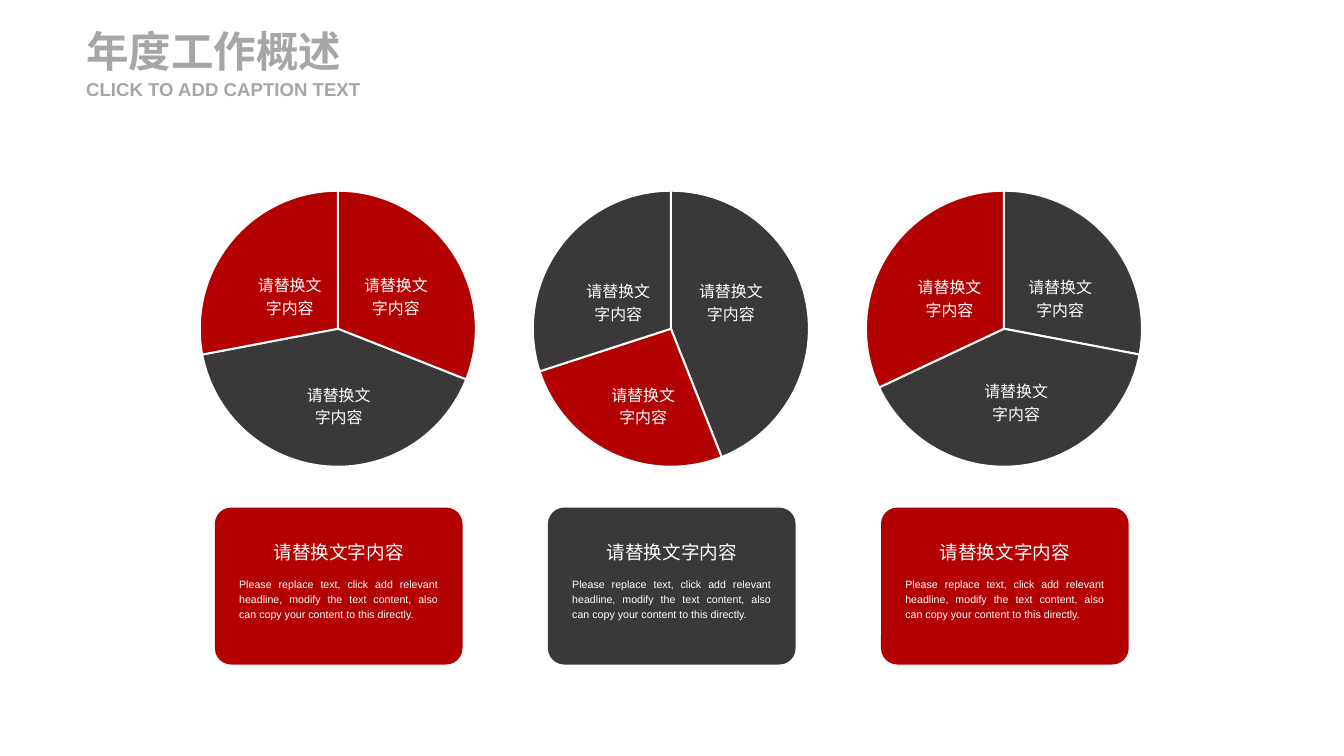
"""Build the annual work overview slide: three pies, each above a caption card."""
from lxml.etree import SubElement
from pptx import Presentation
from pptx.chart.data import CategoryChartData
from pptx.dml.color import RGBColor
from pptx.enum.chart import XL_CHART_TYPE
from pptx.enum.shapes import MSO_SHAPE
from pptx.enum.text import MSO_ANCHOR, MSO_AUTO_SIZE, PP_ALIGN
from pptx.oxml.ns import qn
from pptx.util import Cm, Pt

COLORS = {"red": "B30000", "dark": "3A3838", "grey": "A6A6A6",
          "white": "FFFFFF", "black": "000000"}
FONT = "Arial"
LABEL = "请替换文字内容"
BODY = ("Please replace text, click add relevant headline, modify the text content, "
        "also can copy your content to this directly.")


def rgb(name):
    return RGBColor.from_string(COLORS[name])


def add_text(slide, text, left, top, width, height, size, align=PP_ALIGN.CENTER,
             color="white", heading=False, wrap=True):
    box = slide.shapes.add_textbox(Cm(left), Cm(top), Cm(width), Cm(height))
    frame = box.text_frame
    frame.word_wrap = wrap
    frame.auto_size = MSO_AUTO_SIZE.SHAPE_TO_FIT_TEXT
    paragraph = frame.paragraphs[0]
    paragraph.alignment = align
    if heading:
        frame.vertical_anchor = MSO_ANCHOR.MIDDLE
        frame.margin_left = frame.margin_right = 0
        frame.margin_top = frame.margin_bottom = 0
    else:
        paragraph.line_spacing = 1.2
    run = paragraph.add_run()
    run.text = text
    run.font.name = FONT
    run.font.size = Pt(size)
    run.font.bold = heading
    run.font.color.rgb = rgb(color)


prs = Presentation()
prs.slide_width, prs.slide_height = Cm(35.71), Cm(20.09)
slide = prs.slides.add_slide(prs.slide_layouts[6])

FIRST_CENTER, PITCH = 9.0, 8.85
PIE_WIDTH, PIE_HEIGHT, PIE_TOP = 9.37, 8.1, 4.72
LABEL_WIDTH, CARD_WIDTH, BODY_WIDTH, TITLE_WIDTH = 2.44, 6.58, 5.79, 4.01
PLOT_LAYOUT = {"layoutTarget": "inner", "xMode": "edge", "yMode": "edge",
               "x": "0.106", "y": "0.043", "w": "0.783", "h": "0.906"}

# Each column: shares, slice colours, label (offset from centre, top), card colour
columns = [
    ((31, 41, 28), ("red", "dark", "red"),
     ((-1.3, 7.11), (1.52, 7.11), (0, 10.01)), "red"),
    ((44, 26, 30), ("dark", "red", "dark"),
     ((1.57, 7.26), (-1.42, 7.26), (-0.76, 10.01)), "dark"),
    ((28, 40, 32), ("dark", "dark", "red"),
     ((-1.47, 7.16), (1.47, 7.16), (0.3, 9.91)), "red"),
]

for index, (shares, slice_colors, labels, card_color) in enumerate(columns):
    center = FIRST_CENTER + index * PITCH

    data = CategoryChartData()
    data.categories = ["1", "2", "3", "4"]
    data.add_series("Series 1", (*shares, None))
    pie = slide.shapes.add_chart(
        XL_CHART_TYPE.PIE, Cm(center - PIE_WIDTH / 2), Cm(PIE_TOP),
        Cm(PIE_WIDTH), Cm(PIE_HEIGHT), data).chart
    pie.has_legend = False
    pie.has_title = False
    pie.font.name = FONT
    pie.font.size = Pt(10)
    pie.font.color.rgb = rgb("black")
    pie.plots[0].vary_by_categories = True
    for number, color in enumerate((*slice_colors, "dark")):
        slice_format = pie.plots[0].series[0].points[number].format
        slice_format.fill.solid()
        slice_format.fill.fore_color.rgb = rgb(color)
        slice_format.line.color.rgb = rgb("white")
        slice_format.line.width = Pt(1.5)

    plot_area = pie.plots[0]._element.getparent()
    for old_layout in plot_area.findall(qn("c:layout")):
        plot_area.remove(old_layout)
    layout = SubElement(plot_area, qn("c:layout"))
    plot_area.insert(0, layout)
    manual = SubElement(layout, qn("c:manualLayout"))
    for tag, value in PLOT_LAYOUT.items():
        SubElement(manual, qn(f"c:{tag}")).set("val", value)

    for offset, top in labels:
        add_text(slide, LABEL, center + offset - LABEL_WIDTH / 2, top,
                 LABEL_WIDTH, 1.5, 12)

    card = slide.shapes.add_shape(
        MSO_SHAPE.ROUNDED_RECTANGLE, Cm(center - CARD_WIDTH / 2), Cm(13.49),
        Cm(CARD_WIDTH), Cm(4.17))
    card.adjustments[0] = 0.104
    card.shadow.inherit = False
    card.fill.solid()
    card.fill.fore_color.rgb = rgb(card_color)
    card.line.fill.background()
    add_text(slide, BODY, center - BODY_WIDTH / 2, 15.16, BODY_WIDTH, 1.45, 8,
             align=PP_ALIGN.JUSTIFY)
    add_text(slide, LABEL, center - TITLE_WIDTH / 2, 14.12, TITLE_WIDTH, 0.91, 14,
             wrap=False)

for heading, top, height, size in (("年度工作概述", 0.66, 1.37, 32),
                                   ("CLICK TO ADD CAPTION TEXT", 2.06, 0.61, 14)):
    add_text(slide, heading, 2.29, top, 7.8, height, size,
             align=PP_ALIGN.LEFT, color="grey", heading=True)

prs.save("out.pptx")
